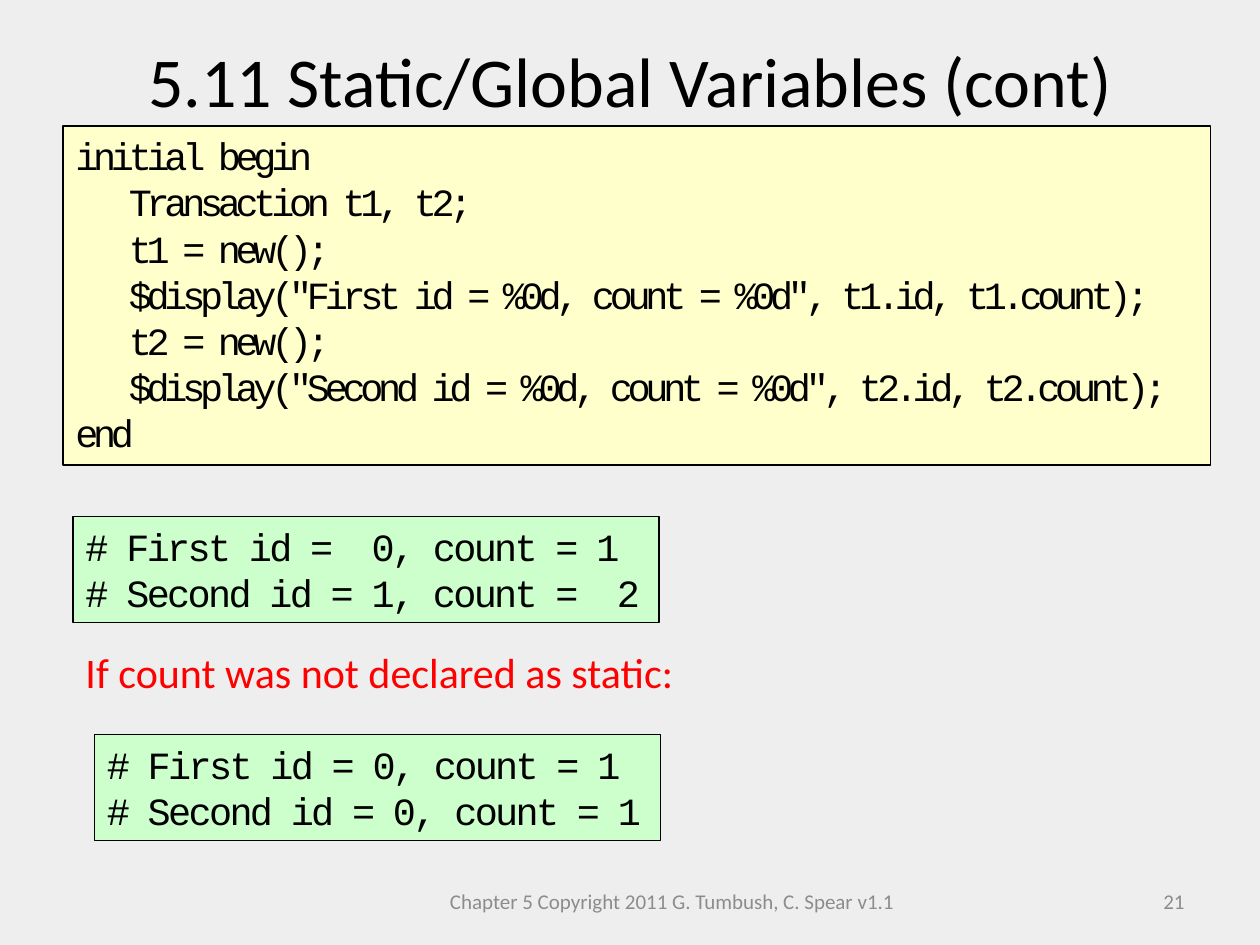
from dataclasses import dataclass

import pptx
import pptx.dml.color
import pptx.enum.shapes
import pptx.enum.text
import pptx.util

Inches = pptx.util.Inches
Pt = pptx.util.Pt
ALIGN = pptx.enum.text.PP_ALIGN
ANCHOR = pptx.enum.text.MSO_ANCHOR
AUTO_SIZE = pptx.enum.text.MSO_AUTO_SIZE


@dataclass
class Box:
    left: float
    top: float
    width: float
    height: float


@dataclass
class Label:
    box: Box
    text: str
    size: float
    color: str
    align: ALIGN = ALIGN.LEFT
    anchor: ANCHOR = ANCHOR.TOP
    wrap: bool = True


@dataclass
class CodePanel:
    box: Box
    fill: str
    spacing: float
    code: str


LABELS = [
    Label(Box(3.42, 6.95, 3.83, 0.4), "Chapter 5 Copyright 2011 G. Tumbush, C. Spear v1.1",
          12, "8C8C8C", ALIGN.CENTER, ANCHOR.MIDDLE),
    Label(Box(0, 0.25, 10, 0.77), "5.11 Static/Global Variables (cont)",
          40, "000000", ALIGN.CENTER),
    Label(Box(7.17, 6.95, 2.33, 0.4), "21", 12, "8C8C8C", ALIGN.RIGHT, ANCHOR.MIDDLE),
    Label(Box(0.58, 5.08, 4.91, 0.5), "If count was not declared as static:",
          24, "FF0000", wrap=False),
]

PANELS = [
    CodePanel(Box(0.5, 1, 9.11, 2.69), "FFFFCC", -3, """\
initial begin
   Transaction t1, t2;
   t1 = new();
   $display("First id = %0d, count = %0d", t1.id, t1.count);
   t2 = new();
   $display("Second id = %0d, count = %0d", t2.id, t2.count);
end"""),
    CodePanel(Box(0.58, 4.1, 4.65, 0.84), "CCFFCC", -1.5, """\
# First id =  0, count = 1
# Second id = 1, count =  2"""),
    CodePanel(Box(0.75, 5.83, 4.49, 0.84), "CCFFCC", -1.5, """\
# First id = 0, count = 1
# Second id = 0, count = 1"""),
]


def rgb(value: str) -> pptx.dml.color.RGBColor:
    return pptx.dml.color.RGBColor.from_string(value)


def place(box: Box) -> list[pptx.util.Length]:
    return [Inches(v) for v in (box.left, box.top, box.width, box.height)]


def write(tf, text: str, font: str, size: float, color: str,
          align: ALIGN = ALIGN.LEFT, spacing: float = 0) -> None:
    for i, line in enumerate(text.split("\n")):
        p = tf.paragraphs[0] if i == 0 else tf.add_paragraph()
        p.alignment = align
        p.font.name = font
        p.font.size = Pt(size)
        p.font.color.rgb = rgb(color)
        r = p.add_run()
        r.text = line
        if spacing:
            r._r.get_or_add_rPr().set("spc", str(int(spacing * 100)))


def add_label(slide, label: Label) -> None:
    tf = slide.shapes.add_textbox(*place(label.box)).text_frame
    tf.word_wrap = label.wrap
    tf.vertical_anchor = label.anchor
    write(tf, label.text, "Calibri", label.size, label.color, label.align)


def add_panel(slide, panel: CodePanel) -> None:
    sp = slide.shapes.add_shape(pptx.enum.shapes.MSO_SHAPE.RECTANGLE, *place(panel.box))
    sp.shadow.inherit = False
    sp.fill.solid()
    sp.fill.fore_color.rgb = rgb(panel.fill)
    sp.line.color.rgb = rgb("000000")
    sp.line.width = Pt(0.75)
    tf = sp.text_frame
    tf.word_wrap = False
    tf.auto_size = AUTO_SIZE.SHAPE_TO_FIT_TEXT
    tf.vertical_anchor = ANCHOR.TOP
    write(tf, panel.code, "Courier New", 22, "000000", spacing=panel.spacing)


def main() -> None:
    prs = pptx.Presentation()
    prs.slide_width = Inches(10)
    prs.slide_height = Inches(7.5)
    slide = prs.slides.add_slide(prs.slide_layouts[6])
    slide.background.fill.solid()
    slide.background.fill.fore_color.rgb = rgb("EEEEEE")
    for label in LABELS:
        add_label(slide, label)
    for panel in PANELS:
        add_panel(slide, panel)
    prs.save("out.pptx")


if __name__ == "__main__":
    main()
